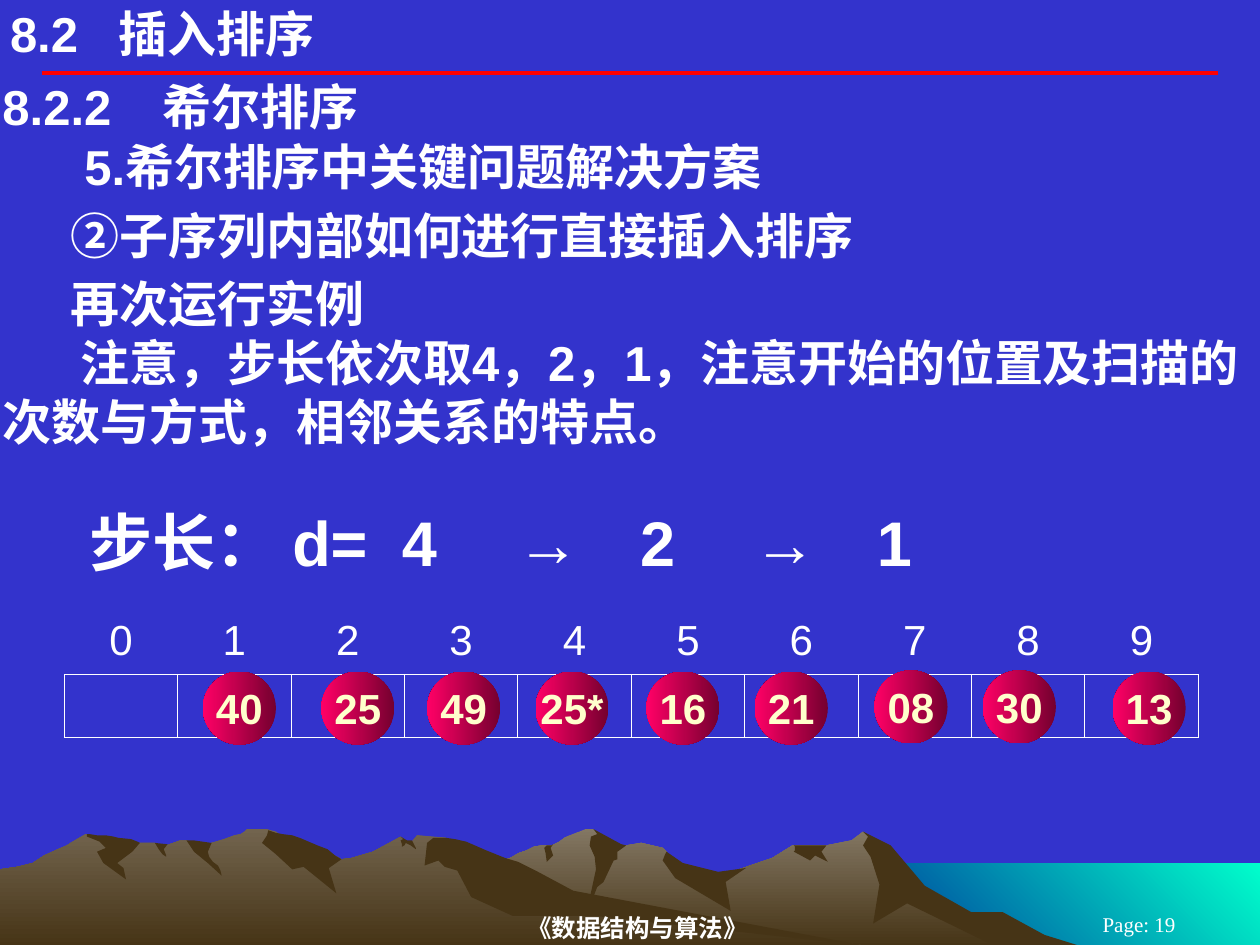
from lxml import etree
from pptx import Presentation
from pptx.dml.color import RGBColor
from pptx.enum.shapes import MSO_CONNECTOR, MSO_SHAPE
from pptx.enum.text import MSO_ANCHOR, MSO_AUTO_SIZE, PP_ALIGN
from pptx.oxml.ns import qn
from pptx.util import Inches, Pt

STRAIGHT = MSO_CONNECTOR.STRAIGHT
OVAL = MSO_SHAPE.OVAL
TOP, MIDDLE = MSO_ANCHOR.TOP, MSO_ANCHOR.MIDDLE
LEFT, CENTER = PP_ALIGN.LEFT, PP_ALIGN.CENTER
GROW = MSO_AUTO_SIZE.SHAPE_TO_FIT_TEXT

COLORS = {
    "background": "3333CC", "text": "FFFFFF", "rule": "FF0000", "ball_text": "FFFFCC",
    "sea_light": "00FFCC", "sea_dark": "003399", "rock": "463416",
    "far_rock": "837763", "near_rock": "72644E", "ball_dark": "75002F", "ball_light": "FF0066",
}

BODY_INSETS = (0.02, 0.01, 0.02, 0.01)
TEXT_BOXES = [
    ((0.08, 0.03, 6.5, 0.47), ["8.2\t插入排序"], dict(tabs=[0.86], insets=(0, 0, 0, 0))),
    ((0, 0.6, 10, 0.49), ["8.2.2\t希尔排序"], dict(tabs=[1.27])),
    ((0, 1.07, 10, 0.49), ["5.希尔排序中关键问题解决方案"], dict(indents=[0.65])),
    ((0, 1.62, 10, 0.49), ["②子序列内部如何进行直接插入排序"], dict(indents=[0.54])),
    ((0, 2.16, 10, 1.42),
     ["再次运行实例", "注意，步长依次取4，2，1，注意开始的位置及扫描的次数与方式，相邻关系的特点。"],
     dict(indents=[0.54, 0.62])),
    ((0, 3.99, 10, 0.62), ["\t步长：\td=\t4\t→\t2\t→\t1"],
     dict(size=36, tabs=[0.69, 2.3, 3.17, 4.08, 5.06, 5.96, 6.94])),
]
FOOTERS = [
    ((2.08, 7.22, 6.06, 0.28), ["《数据结构与算法》"],
     dict(size=14, insets=(0, 0.01, 0.1, 0.01))),
    ((8.25, 7.25, 1.58, 0.17), ["Page: 19"],
     dict(size=12, bold=False, insets=(0.1, 0.05, 0.1, 0.05))),
]
BALL_SIZE = 0.58
BALLS = [
    ("40", 1.61, 5.33), ("21", 5.99, 5.33), ("25", 2.55, 5.33),
    ("49", 3.39, 5.33), ("25*", 4.25, 5.33), ("16", 5.13, 5.33),
    ("30", 7.8, 5.32), ("08", 6.94, 5.32), ("13", 8.83, 5.33),
]

# Outline points are in hundredths of an inch.
SEA = [(1000, 752), (683, 752), (683, 685), (1000, 685)]
FAR_RANGE = [
    (802, 740), (778, 727), (764, 723), (723, 698), (702, 671), (685, 660), (676, 667),
    (656, 671), (629, 671), (613, 681), (566, 697), (536, 690), (529, 676), (526, 673),
    (509, 669), (497, 671), (486, 673), (474, 661), (471, 658), (465, 658), (450, 664),
    (448, 665), (444, 668), (438, 671), (430, 671), (424, 672), (418, 675), (412, 677),
    (405, 681), (399, 683), (394, 685), (355, 698), (327, 709), (277, 739), (258, 751),
    (821, 751),
]
NEAR_RANGE = [
    (690, 751), (667, 748), (432, 712), (354, 665), (331, 663), (327, 668), (323, 668),
    (318, 664), (296, 676), (279, 681), (271, 682), (260, 676), (236, 681), (223, 663),
    (219, 660), (215, 659), (212, 658), (196, 658), (194, 660), (191, 662), (186, 663),
    (178, 666), (168, 669), (160, 671), (148, 667), (143, 667), (132, 671), (128, 671),
    (123, 669), (111, 669), (94, 671), (68, 662), (56, 669), (53, 671), (46, 674),
    (35, 679), (26, 685), (14, 688), (0, 690), (0, 751),
]
FAR_SHADOWS = [
    [(796, 724), (771, 724), (734, 703), (707, 671), (685, 660), (689, 664), (685, 671),
     (691, 680), (698, 702), (693, 733), (720, 717), (792, 752), (858, 751), (829, 742)],
    [(471, 658), (474, 662), (469, 664), (468, 671), (472, 680), (473, 690), (465, 727),
     (474, 704), (479, 700), (487, 683), (490, 682), (490, 676), (497, 671), (493, 670)],
    [(529, 676), (528, 678), (526, 683), (536, 697), (580, 723), (576, 700), (592, 689),
     (570, 692), (542, 685)],
    [(650, 671), (630, 671), (631, 672), (631, 675), (630, 676), (643, 683), (647, 679),
     (657, 684), (652, 676), (656, 671)],
    [(433, 677), (432, 673), (434, 671), (438, 671), (439, 670), (437, 673), (439, 679),
     (434, 684)],
]
NEAR_SHADOWS = [
    [(212, 663), (208, 669), (219, 678), (232, 690), (241, 688), (267, 709), (261, 689),
     (271, 682), (266, 679), (260, 674), (252, 671), (238, 665), (232, 663), (224, 662),
     (219, 661), (213, 659)],
    [(370, 668), (361, 666), (354, 665), (344, 665), (339, 669), (337, 687), (348, 683),
     (353, 688), (363, 691), (374, 712), (407, 727), (472, 727), (690, 751), (683, 750),
     (455, 707), (427, 692), (411, 684), (401, 681), (386, 675)],
    [(318, 667), (320, 666), (318, 664), (323, 667), (327, 667), (330, 673), (330, 674),
     (326, 671), (322, 669), (321, 671), (319, 672), (319, 670)],
    [(154, 667), (161, 668), (168, 669), (165, 676), (166, 680), (169, 684), (173, 687),
     (175, 691), (176, 695), (165, 685), (154, 676), (148, 667)],
    [(133, 670), (130, 674), (132, 679), (132, 680), (129, 678), (126, 674), (123, 669)],
    [(109, 668), (111, 669), (105, 676), (93, 685), (98, 689), (100, 698), (82, 685),
     (77, 676), (84, 673), (79, 668), (69, 664), (69, 662), (71, 662), (77, 663),
     (84, 663), (90, 664), (94, 665), (104, 666)],
]
LANDSCAPE = [
    (SEA, ("sea_light", "sea_dark"), 135),
    (FAR_RANGE, ("far_rock", "rock"), 90),
    *[(outline, ("rock",), 0) for outline in FAR_SHADOWS],
    (NEAR_RANGE, ("near_rock", "rock"), 90),
    *[(outline, ("rock",), 0) for outline in NEAR_SHADOWS],
]


def rgb(name):
    return RGBColor.from_string(COLORS[name])


def paint(shape, names, angle=0):
    shape.shadow.inherit = False
    shape.line.fill.background()
    if len(names) == 1:
        shape.fill.solid()
        shape.fill.fore_color.rgb = rgb(names[0])
        return
    shape.fill.gradient()
    shape.fill.gradient_angle = 360 - angle
    for stop, name in zip(shape.fill.gradient_stops, names):
        stop.color.rgb = rgb(name)


def write(frame, texts, size=28, bold=True, color="text", font="Arial", align=LEFT,
          anchor=TOP, insets=BODY_INSETS, wrap=True, indents=(), tabs=()):
    frame.word_wrap = wrap
    frame.vertical_anchor = anchor
    (frame.margin_left, frame.margin_top,
     frame.margin_right, frame.margin_bottom) = map(Inches, insets)
    for index, text in enumerate(texts):
        paragraph = frame.add_paragraph() if index else frame.paragraphs[0]
        paragraph.alignment = align
        properties = paragraph._p.get_or_add_pPr()
        if indents:
            properties.set("marL", "0")
            properties.set("indent", str(Inches(indents[index])))
        if tabs:
            tab_list = etree.SubElement(properties, qn("a:tabLst"))
            for position in tabs:
                etree.SubElement(tab_list, qn("a:tab"), pos=str(Inches(position)), algn="l")
        run = paragraph.add_run()
        run.text = text
        run.font.size, run.font.bold, run.font.name = Pt(size), bold, font
        run.font.color.rgb = rgb(color)


def add_border(cell, sides):
    properties = cell._tc.get_or_add_tcPr()
    for side in "LRTB":
        line = etree.SubElement(properties, qn(f"a:ln{side}"), w=str(Pt(0.45)))
        if side in sides:
            fill = etree.SubElement(line, qn("a:solidFill"))
            etree.SubElement(fill, qn("a:srgbClr"), val=COLORS["text"])
        else:
            etree.SubElement(line, qn("a:noFill"))


def add_array(slide):
    table = slide.shapes.add_table(2, 10, *map(Inches, (0.51, 4.85, 9, 1))).table
    table.first_row = table.horz_banding = False
    for row, sides in enumerate(("B", "LRTB")):
        for column in range(10):
            cell = table.cell(row, column)
            add_border(cell, sides)
            cell.fill.background()
            if row == 0:
                write(cell.text_frame, [str(column)], size=24, bold=False, align=CENTER,
                      insets=(0.1, 0.05, 0.1, 0.05))


def main():
    presentation = Presentation()
    presentation.slide_width, presentation.slide_height = Inches(10), Inches(7.5)
    slide = presentation.slides.add_slide(presentation.slide_layouts[6])
    slide.background.fill.solid()
    slide.background.fill.fore_color.rgb = rgb("background")
    shapes = slide.shapes
    for outline, names, angle in LANDSCAPE:
        builder = shapes.build_freeform(*outline[0], scale=Inches(0.01))
        builder.add_line_segments(outline[1:], close=True)
        paint(builder.convert_to_shape(), names, angle)
    rule = shapes.add_connector(STRAIGHT, *map(Inches, (0.33, 0.58, 9.67, 0.58)))
    rule.line.color.rgb, rule.line.width = rgb("rule"), Pt(2.25)
    etree.SubElement(rule._element.spPr, qn("a:effectLst"))
    for box, texts, style in FOOTERS:
        frame = shapes.add_textbox(*map(Inches, box)).text_frame
        write(frame, texts, font="Times New Roman", align=CENTER, anchor=MIDDLE, **style)
    for box, texts, style in TEXT_BOXES:
        frame = shapes.add_textbox(*map(Inches, box)).text_frame
        write(frame, texts, **style)
        frame.auto_size = GROW
    add_array(slide)
    for value, left, top in BALLS:
        ball = shapes.add_shape(OVAL, *map(Inches, (left, top, BALL_SIZE, BALL_SIZE)))
        paint(ball, ("ball_dark", "ball_light"), 180)
        write(ball.text_frame, [value], size=24, color="ball_text", align=CENTER,
              anchor=MIDDLE, insets=(0.1, 0.05, 0.1, 0.05), wrap=False)
    presentation.save("out.pptx")


if __name__ == "__main__":
    main()
